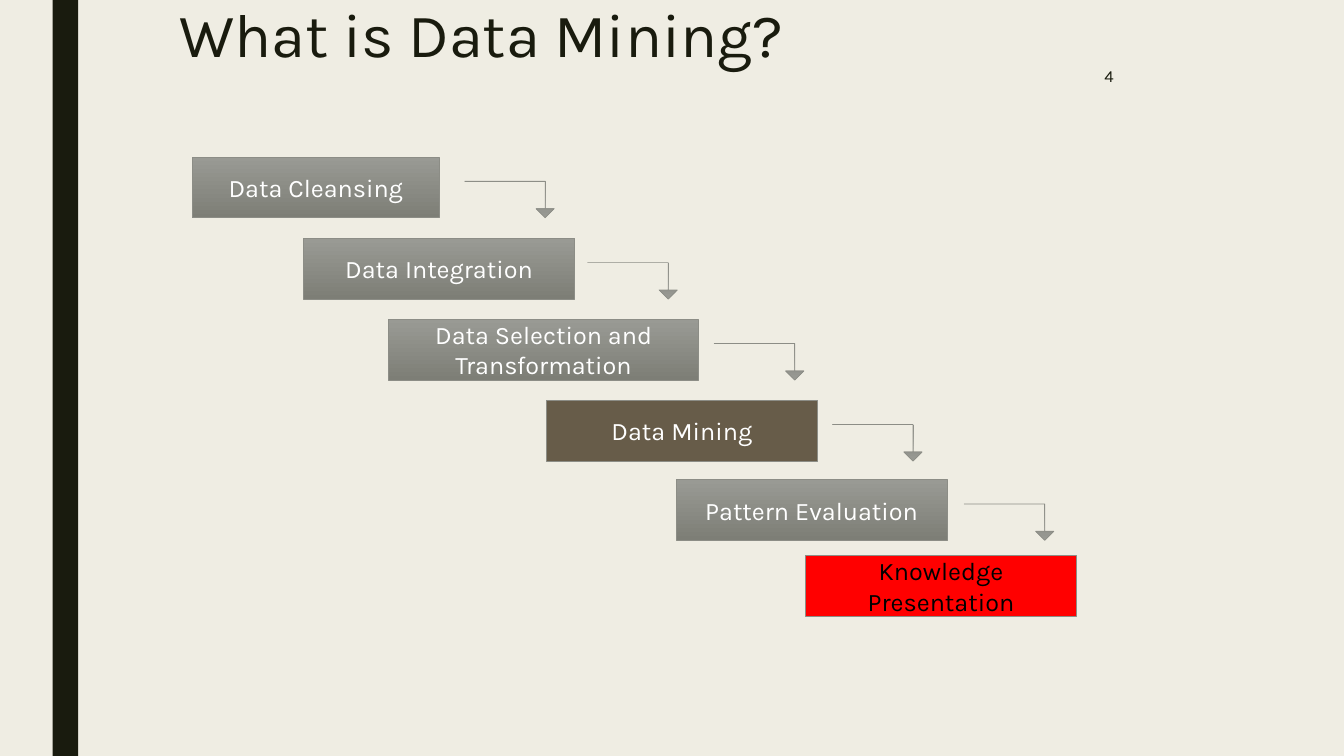
from pptx import Presentation
from pptx.dml.color import RGBColor
from pptx.enum.shapes import MSO_SHAPE as Shape
from pptx.enum.text import MSO_ANCHOR as Anchor, PP_ALIGN as Align
from pptx.util import Cm, Pt

COLORS = {
    "paper": "EFEDE3", "ink": "191B0E", "white": "FFFFFF", "black": "000000",
    "light": "999A94", "grey": "8C8D86", "dark": "7D7E76",
    "brown": "675C49", "red": "FF0000",
}
STEP_HEIGHT = 1.53
ARROW_DROP, ARROW_WIDTH, ARROW_HEIGHT = 0.61, 2.26, 0.92

# label, left, top, width, fill, text colour, gap to the arrow
STEPS = [
    ("Data Cleansing", 4.85, 3.96, 6.22, None, "white", 0.64),
    ("Data Integration", 7.65, 6.01, 6.83, None, "white", 0.33),
    ("Data Selection and Transformation", 9.8, 8.05, 7.8, None, "white", 0.4),
    ("Data Mining", 13.77, 10.09, 6.83, "brown", "white", 0.38),
    ("Pattern Evaluation", 17.04, 12.09, 6.83, None, "white", 0.43),
    ("Knowledge Presentation", 20.3, 14, 6.83, "red", "black", None),
]


def color(name):
    """Return the named colour."""
    return RGBColor.from_string(COLORS[name])


def write(shape, text, size, tint, align, anchor, spacing=None):
    """Put one formatted paragraph into a shape."""
    frame = shape.text_frame
    frame.word_wrap = True
    frame.vertical_anchor = anchor
    para = frame.paragraphs[0]
    para.alignment = align
    para.line_spacing = spacing
    span = para.add_run()
    span.text = text
    for key, value in {"name": "Karla", "size": Pt(size)}.items():
        setattr(span.font, key, value)
    span.font.color.rgb = color(tint)


def add_block(page, kind, box, fill=None, line="grey"):
    """Add a preset shape, shaded grey unless a fill is named."""
    shape = page.shapes.add_shape(kind, *map(Cm, box))
    shape.shadow.inherit = False
    if fill:
        shape.fill.solid()
        shape.fill.fore_color.rgb = color(fill)
    else:
        shape.fill.gradient()
        shape.fill.gradient_angle = 270
        for stop, name in zip(shape.fill.gradient_stops, ("light", "dark")):
            stop.color.rgb = color(name)
    if line:
        shape.line.color.rgb = color(line)
        shape.line.width = Pt(0.5)
    else:
        shape.line.fill.background()
    return shape


def add_arrow(page, left, top):
    """Add a thin arrow that runs right and then down."""
    box = (left, top, ARROW_WIDTH, ARROW_HEIGHT)
    arrow = add_block(page, Shape.BENT_UP_ARROW, box)
    arrow.element.spPr.xfrm.set("flipV", "1")
    for index, value in enumerate((0, 0.25, 0.25)):
        arrow.adjustments[index] = value


def add_heading(page, box):
    """Add the slide title."""
    title = page.shapes.add_textbox(*map(Cm, box))
    write(title, "What is Data Mining?", 44, "ink", Align.LEFT, Anchor.TOP, 0.89)


def add_number(page, box):
    """Add the slide number."""
    number = page.shapes.add_textbox(*map(Cm, box))
    write(number, "4", 12, "ink", Align.RIGHT, Anchor.MIDDLE)


def add_staircase(page):
    """Add the descending steps and the arrows between them."""
    for label, left, top, width, fill, tint, gap in STEPS:
        step = add_block(page, Shape.RECTANGLE, (left, top, width, STEP_HEIGHT), fill)
        write(step, label, 18, tint, Align.CENTER, Anchor.MIDDLE)
        if gap is not None:
            add_arrow(page, left + width + gap, top + ARROW_DROP)


def main():
    """Build and save the deck."""
    deck = Presentation()
    deck.slide_width, deck.slide_height = Cm(33.87), Cm(19.05)
    page = deck.slides.add_slide(deck.slide_layouts[6])
    page.background.fill.solid()
    page.background.fill.fore_color.rgb = color("paper")
    add_block(page, Shape.RECTANGLE, (1.33, 0, 0.64, 19.05), "ink", None)
    add_heading(page, (4.27, 0, 18.5, 2.41))
    add_number(page, (26.92, 1.4, 1.4, 1.02))
    add_staircase(page)
    deck.save("out.pptx")


if __name__ == "__main__":
    main()
